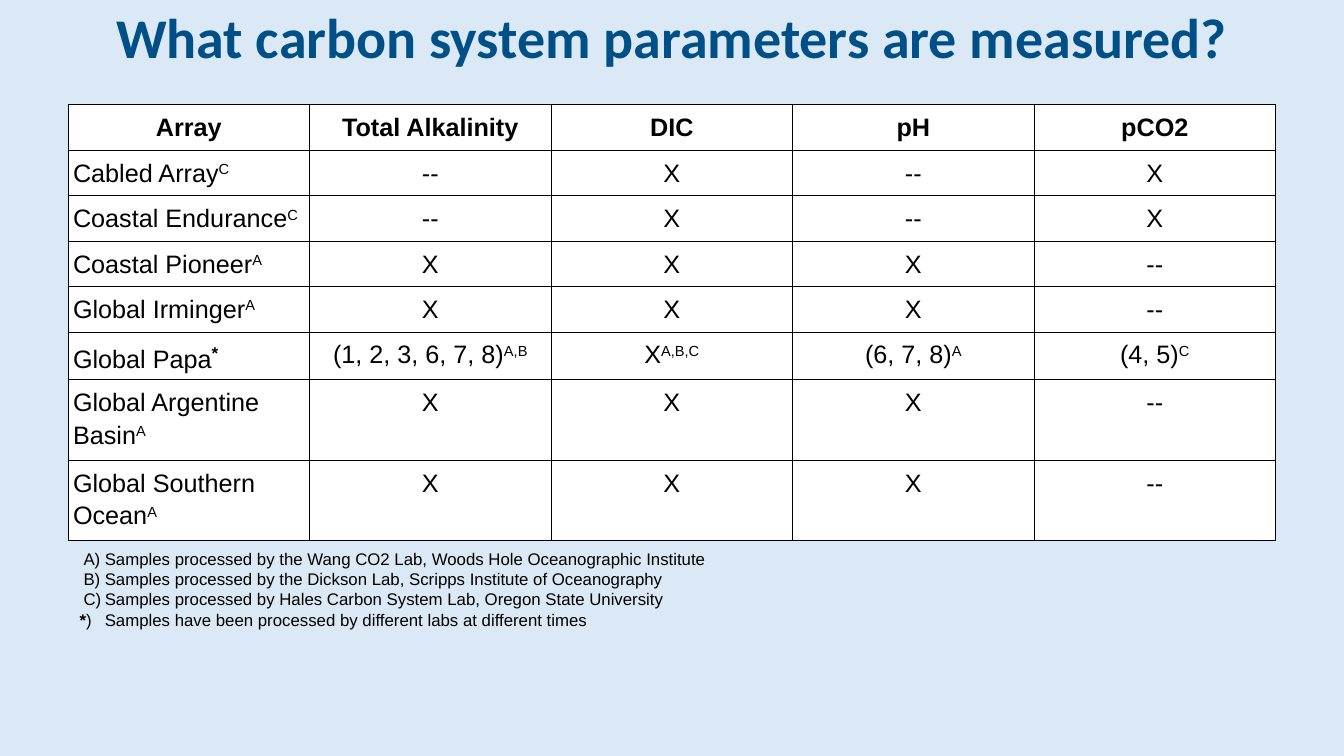
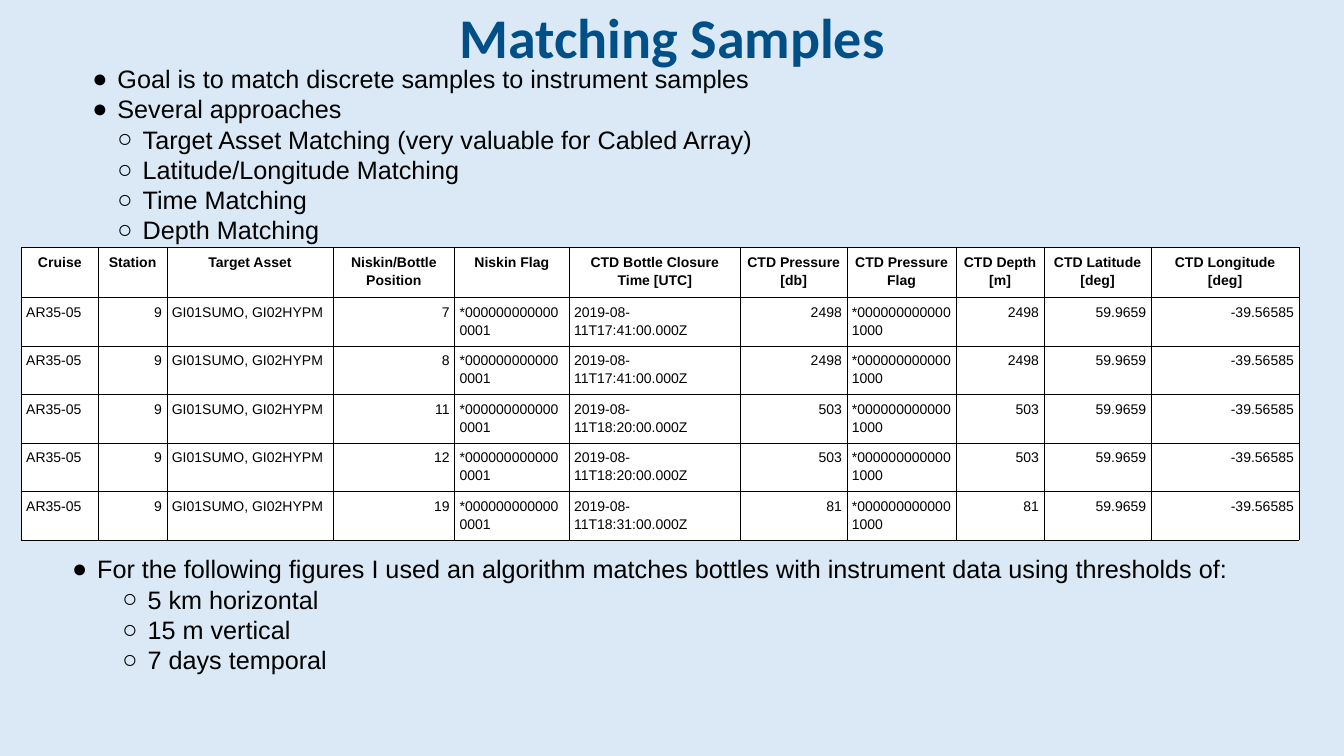
import dataclasses

import pptx
import pptx.dml.color
import pptx.enum.text
import pptx.oxml
import pptx.oxml.ns
import pptx.util

Cm = pptx.util.Cm
Pt = pptx.util.Pt
ALIGN = pptx.enum.text.PP_ALIGN
ANCHOR = pptx.enum.text.MSO_ANCHOR
AUTO_SIZE = pptx.enum.text.MSO_AUTO_SIZE


@dataclasses.dataclass(frozen=True)
class Theme:
    background: str = "DAE9F5"
    title_color: str = "005087"
    ink: str = "000000"
    cell_fill: str = "FFFFFF"
    title_font: str = "Calibri"
    body_font: str = "Arial"
    title_size: int = 80
    body_size: int = 36
    mark_size: int = 42
    note_size: int = 24
    data_size: int = 20
    inset: float = 0.25
    cell_spacing: float = 1.15


THEME = Theme()

# Slide 1 content; "^" starts a superscript
PARAMETERS = [
    ["Array", "Total Alkalinity", "DIC", "pH", "pCO2"],
    ["Cabled Array^C", "--", "X", "--", "X"],
    ["Coastal Endurance^C", "--", "X", "--", "X"],
    ["Coastal Pioneer^A", "X", "X", "X", "--"],
    ["Global Irminger^A", "X", "X", "X", "--"],
    ["Global Papa^*", "(1, 2, 3, 6, 7, 8)^A,B", "X^A,B,C", "(6, 7, 8)^A", "(4, 5)^C"],
    ["Global Argentine Basin^A", "X", "X", "X", "--"],
    ["Global Southern Ocean^A", "X", "X", "X", "--"],
]
LABS = [
    "Samples processed by the Wang CO2 Lab, Woods Hole Oceanographic Institute",
    "Samples processed by the Dickson Lab, Scripps Institute of Oceanography",
    "Samples processed by Hales Carbon System Lab, Oregon State University",
]

# Slide 2 content
SAMPLE_HEADINGS = [
    "Cruise", "Station", "Target Asset", "Niskin/Bottle Position", "Niskin Flag",
    "CTD Bottle Closure Time [UTC]", "CTD Pressure [db]", "CTD Pressure Flag",
    "CTD Depth [m]", "CTD Latitude [deg]", "CTD Longitude [deg]",
]
SAMPLE_WIDTHS = [3.89, 3.45, 8.38, 6.12, 5.77, 8.64, 5.36, 5.51, 4.42, 5.41, 7.44]
BOTTLES = [  # position, closure time, pressure and depth
    ("7", "17:41", "2498"),
    ("8", "17:41", "2498"),
    ("11", "18:20", "503"),
    ("12", "18:20", "503"),
    ("19", "18:31", "81"),
]
APPROACHES = [
    (0, "Goal is to match discrete samples to instrument samples"),
    (0, "Several approaches"),
    (1, "Target Asset Matching (very valuable for Cabled Array)"),
    (1, "Latitude/Longitude Matching"),
    (1, "Time Matching"),
    (1, "Depth Matching"),
]
THRESHOLDS = [
    (0, "For the following figures I used an algorithm matches bottles "
        "with instrument data using thresholds of:"),
    (1, "5 km horizontal"),
    (1, "15 m vertical"),
    (1, "7 days temporal"),
]


def rgb(value):
    return pptx.dml.color.RGBColor.from_string(value)


def add_xml(parent, markup):
    """Append one DrawingML element, given without its namespace."""
    name, _, rest = markup.partition(" ")
    namespace = pptx.oxml.ns.nsdecls("a")
    parent.append(pptx.oxml.parse_xml(f"<a:{name} {namespace} {rest}"))


def write(paragraph, text, *, size=THEME.body_size, font=THEME.body_font,
          color=THEME.ink, bold=False, raised=False, align=None, spacing=None):
    run = paragraph.add_run()
    run.text = text
    run.font.size = Pt(size)
    run.font.name = font
    run.font.bold = bold
    run.font.color.rgb = rgb(color)
    if raised:
        run._r.get_or_add_rPr().set("baseline", "30000")
    if align is not None:
        paragraph.alignment = align
    if spacing:
        paragraph.line_spacing = spacing


def set_bullet(paragraph, bullet, margin, hanging):
    properties = paragraph._p.get_or_add_pPr()
    properties.set("marL", str(Cm(margin)))
    properties.set("indent", str(-Cm(hanging)))
    add_xml(properties, f'buClr ><a:srgbClr val="{THEME.ink}"/></a:buClr>')
    add_xml(properties, f'buFont typeface="{THEME.body_font}"/>')
    add_xml(properties, bullet)


def add_frame(slide, left, top, width, height, inset=THEME.inset, grow=False):
    box = slide.shapes.add_textbox(Cm(left), Cm(top), Cm(width), Cm(height))
    frame = box.text_frame
    frame.word_wrap = True
    frame.auto_size = AUTO_SIZE.SHAPE_TO_FIT_TEXT if grow else AUTO_SIZE.NONE
    frame.margin_left = frame.margin_right = Cm(inset)
    frame.margin_top = frame.margin_bottom = Cm(inset)
    return frame


def next_paragraph(frame):
    first = frame.paragraphs[0]
    return frame.add_paragraph() if first.runs else first


def add_titled_slide(deck, title):
    slide = deck.slides.add_slide(deck.slide_layouts[6])
    slide.background.fill.solid()
    slide.background.fill.fore_color.rgb = rgb(THEME.background)
    frame = add_frame(slide, 5.59, 0, 56.57, 3.66, inset=0.15)
    frame.vertical_anchor = ANCHOR.MIDDLE
    write(frame.paragraphs[0], title, size=THEME.title_size, font=THEME.title_font,
          color=THEME.title_color, bold=True, align=ALIGN.CENTER)
    return slide


def add_bullets(frame, items, margins):
    for level, text in items:
        paragraph = next_paragraph(frame)
        paragraph.level = level
        write(paragraph, text)
        set_bullet(paragraph, f'buChar char="{"●○"[level]}"/>', margins[level], 1.27)


def format_cell(cell, border):
    cell.margin_left = cell.margin_right = Cm(THEME.inset)
    cell.margin_top = cell.margin_bottom = Cm(THEME.inset)
    properties = cell._tc.get_or_add_tcPr()
    for side in "LRTB":
        add_xml(properties, f'ln{side} w="{Pt(border)}"><a:solidFill>'
                f'<a:srgbClr val="{THEME.ink}"/></a:solidFill></a:ln{side}>')
    cell.fill.solid()
    cell.fill.fore_color.rgb = rgb(THEME.cell_fill)


def add_grid(slide, left, top, widths, heights, rows, aligns, size, border):
    """Draw a bordered table with a bold, centred heading row."""
    table = slide.shapes.add_table(len(rows), len(widths), Cm(left), Cm(top),
                                   Cm(sum(widths)), Cm(sum(heights))).table
    table.first_row = table.horz_banding = False
    for column, width in zip(table.columns, widths):
        column.width = Cm(width)
    for row, height in zip(table.rows, heights):
        row.height = Cm(height)
    for r, values in enumerate(rows):
        for c, value in enumerate(values):
            cell = table.cell(r, c)
            format_cell(cell, border)
            paragraph = cell.text_frame.paragraphs[0]
            text, _, mark = value.partition("^")
            write(paragraph, text, size=size, bold=r == 0,
                  align=ALIGN.CENTER if r == 0 else aligns[c],
                  spacing=THEME.cell_spacing)
            if mark:
                starred = mark == "*"
                write(paragraph, mark, size=THEME.mark_size if starred else size,
                      bold=starred, raised=True)


def add_lab_notes(slide):
    frame = add_frame(slide, 3.76, 27.41, 58.85, 4.62, grow=True)
    for lab in LABS:
        paragraph = next_paragraph(frame)
        write(paragraph, lab, size=THEME.note_size)
        set_bullet(paragraph, 'buAutoNum type="alphaUcParenR"/>', 1.27, 1.07)
    star_note = next_paragraph(frame)
    write(star_note, "*", size=THEME.note_size, bold=True)
    write(star_note, ")\tSamples have been processed by different labs at different times",
          size=THEME.note_size)


def build_parameters_slide(deck):
    slide = add_titled_slide(deck, "What carbon system parameters are measured?")
    add_grid(slide, 3.43, 5.28, [12.17] * 5, [2.29] * 6 + [4.06] * 2, PARAMETERS,
             [ALIGN.LEFT] + [ALIGN.CENTER] * 4, THEME.body_size, 1.5)
    add_lab_notes(slide)


def build_matching_slide(deck):
    slide = add_titled_slide(deck, "Matching Samples")
    approaches = add_frame(slide, 3.38, 3.2, 60.96, 32.94, inset=0)
    add_bullets(approaches, APPROACHES, (2.54, 3.81))

    samples = [
        ["AR35-05", "9", "GI01SUMO, GI02HYPM", position, "*0000000000000001",
         f"2019-08-11T{time}:00.000Z", depth, "*0000000000001000", depth,
         "59.9659", "-39.56585"]
        for position, time, depth in BOTTLES
    ]
    text_columns = {0, 2, 4, 5, 7}
    aligns = [ALIGN.LEFT if c in text_columns else ALIGN.RIGHT
              for c in range(len(SAMPLE_HEADINGS))]
    add_grid(slide, 1.07, 12.47, SAMPLE_WIDTHS, [2.51] + [1.83] * len(samples),
             [SAMPLE_HEADINGS] + samples, aligns, THEME.data_size, 0.75)

    thresholds = add_frame(slide, 3.38, 27.66, 63.2, 7.26, grow=True)
    add_bullets(thresholds, THRESHOLDS, (1.27, 3.81))


def main():
    deck = pptx.Presentation()
    deck.slide_width = Cm(67.73)
    deck.slide_height = Cm(38.1)
    build_parameters_slide(deck)
    build_matching_slide(deck)
    deck.save("out.pptx")


if __name__ == "__main__":
    main()
